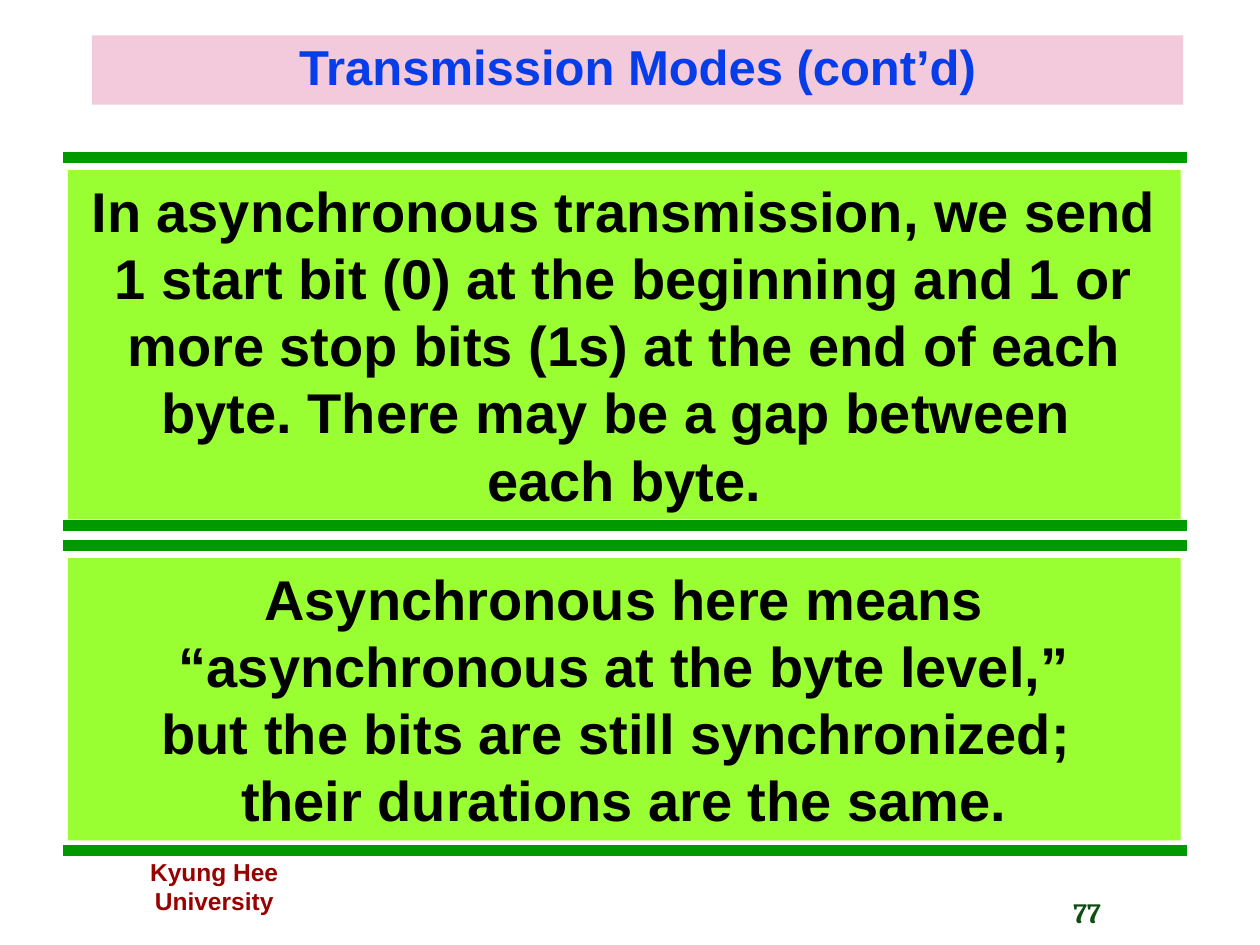
from dataclasses import dataclass

from lxml.etree import SubElement
from pptx import Presentation
from pptx.dml.color import RGBColor
from pptx.enum.shapes import MSO_CONNECTOR, MSO_SHAPE
from pptx.enum.text import MSO_ANCHOR, PP_ALIGN
from pptx.oxml.ns import qn
from pptx.util import Inches, Pt


@dataclass(frozen=True)
class Theme:
    sans: str = "Arial"
    serif: str = "Cambria"
    title_fill: str = "F2CADC"
    title_text: str = "063DE8"
    panel_fill: str = "99FF33"
    panel_text: str = "000000"
    rule: str = "009900"
    university: str = "990000"
    page_number: str = "0F4D13"
    title_size: int = 28
    panel_size: int = 32
    page_number_size: int = 16
    university_size: int = 14
    rule_width: int = 6


THEME = Theme()
RULE_LEFT, RULE_RIGHT = 0.5, 9.42
PANEL_LEFT, PANEL_WIDTH = 0.54, 8.83
PANEL_OFFSET = 0.1  # from the upper rule to the panel

# Upper rule, lower rule, panel height, paragraphs as lists of lines
STATEMENTS = [
    (1.25, 4.17, 2.77, [
        ["In asynchronous transmission, we send 1 start bit (0) at the beginning "
         "and 1 or more stop bits (1s) at the end of each byte. "
         "There may be a gap between ", "each byte."],
    ]),
    (4.33, 6.75, 2.24, [
        ["Asynchronous here means “asynchronous at the byte level,”"],
        ["but the bits are still synchronized; ", "their durations are the same."],
    ]),
]


def write(frame, paragraphs, size, color, font=THEME.sans,
          align=PP_ALIGN.CENTER, anchor=MSO_ANCHOR.TOP, wrap=True, spacing=None):
    """Fill a frame with bold paragraphs, each a list of lines."""
    frame.word_wrap = wrap
    frame.vertical_anchor = anchor
    for index, lines in enumerate(paragraphs):
        paragraph = frame.add_paragraph() if index else frame.paragraphs[0]
        paragraph.alignment = align
        if spacing:
            paragraph.line_spacing = spacing
        for number, line in enumerate(lines):
            if number:
                paragraph.add_line_break()
            run = paragraph.add_run()
            run.text = line
            run.font.name = font
            run.font.size = Pt(size)
            run.font.bold = True
            run.font.color.rgb = RGBColor.from_string(color)


def add_label(slide, left, top, width, height, text, size, color, **style):
    label = slide.shapes.add_textbox(
        Inches(left), Inches(top), Inches(width), Inches(height))
    write(label.text_frame, [[text]], size, color, **style)


def add_panel(slide, left, top, width, height, fill, paragraphs, size, color, **style):
    panel = slide.shapes.add_shape(
        MSO_SHAPE.RECTANGLE, Inches(left), Inches(top), Inches(width), Inches(height))
    panel.shadow.inherit = False
    panel.fill.solid()
    panel.fill.fore_color.rgb = RGBColor.from_string(fill)
    panel.line.fill.background()
    write(panel.text_frame, paragraphs, size, color, **style)


def add_rule(slide, y):
    rule = slide.shapes.add_connector(
        MSO_CONNECTOR.STRAIGHT,
        Inches(RULE_LEFT), Inches(y), Inches(RULE_RIGHT), Inches(y))
    rule.line.color.rgb = RGBColor.from_string(THEME.rule)
    rule.line.width = Pt(THEME.rule_width)
    SubElement(rule._element.spPr, qn("a:effectLst"))


def add_statement(slide, upper, lower, height, paragraphs):
    """Add a text panel between two rules."""
    add_rule(slide, upper)
    add_rule(slide, lower)
    add_panel(slide, PANEL_LEFT, upper + PANEL_OFFSET, PANEL_WIDTH, height,
              THEME.panel_fill, paragraphs, THEME.panel_size, THEME.panel_text)


def main():
    presentation = Presentation()
    presentation.slide_width, presentation.slide_height = Inches(10), Inches(7.5)
    slide = presentation.slides.add_slide(presentation.slide_layouts[6])

    add_label(slide, 8.42, 7.06, 1.38, 0.42, "77",
              THEME.page_number_size, THEME.page_number,
              font=THEME.serif, align=PP_ALIGN.LEFT, wrap=False)
    add_label(slide, 0.69, 6.75, 2.02, 0.57, "Kyung Hee University",
              THEME.university_size, THEME.university)
    add_panel(slide, 0.73, 0.28, 8.66, 0.55, THEME.title_fill,
              [["Transmission Modes (cont’d)"]], THEME.title_size, THEME.title_text,
              anchor=MSO_ANCHOR.MIDDLE, spacing=0.9)
    for statement in STATEMENTS:
        add_statement(slide, *statement)

    presentation.save("out.pptx")


if __name__ == "__main__":
    main()
